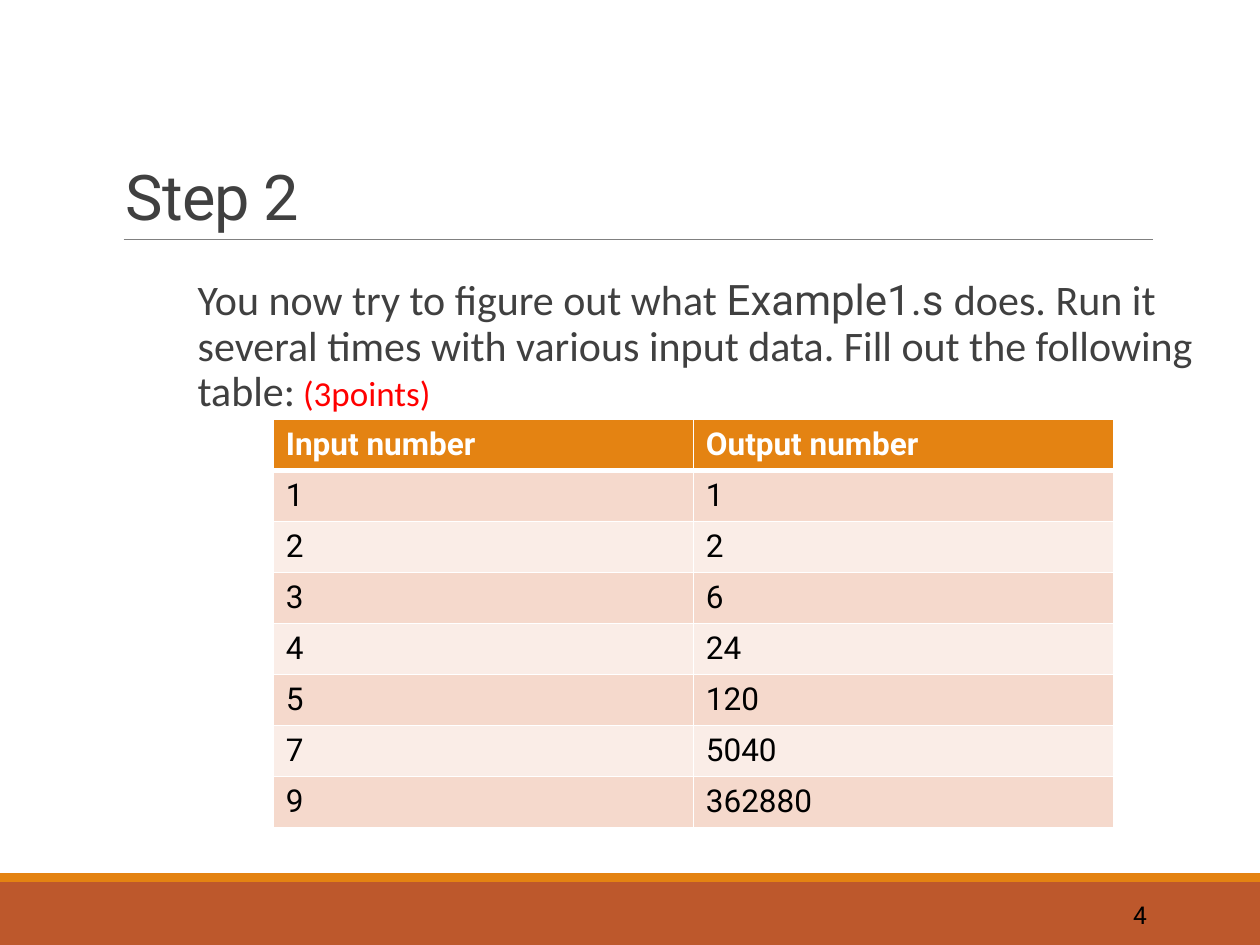
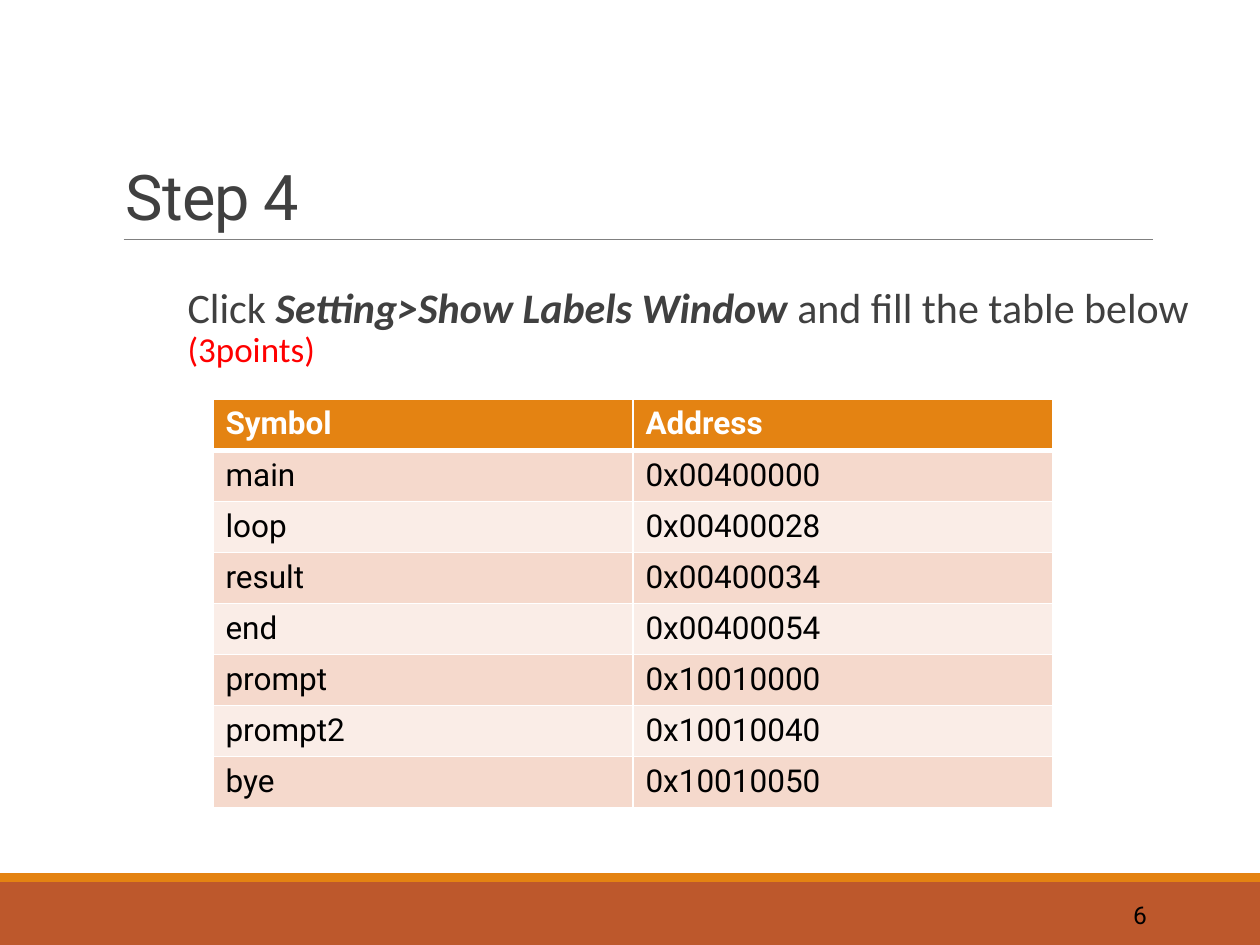
from dataclasses import dataclass
from typing import Any

from lxml import etree
from pptx import Presentation
from pptx.dml.color import RGBColor
from pptx.enum.shapes import MSO_CONNECTOR, MSO_SHAPE
from pptx.enum.text import MSO_ANCHOR, PP_ALIGN
from pptx.oxml.ns import qn
from pptx.util import Pt

RECTANGLE = MSO_SHAPE.RECTANGLE
STRAIGHT = MSO_CONNECTOR.STRAIGHT
TOP, MIDDLE, BOTTOM = MSO_ANCHOR.TOP, MSO_ANCHOR.MIDDLE, MSO_ANCHOR.BOTTOM
RIGHT = PP_ALIGN.RIGHT

# Shared look
ORANGE, RUST, GREY = "E48312", "BD582C", "808080"
DARK, BLACK, WHITE, RED = "404040", "000000", "FFFFFF", "FF0000"
ROW_FILLS = ("F5D9CC", "FAEDE7")
HEADING, BODY = "Roboto", "Calibri"

WIDTH, HEIGHT = 720, 540
COLUMN_WIDTH, ROW_HEIGHT = 240, 29.16
GRID_LINE, HEADER_LINE = 1, 3

TITLE = {"size": Pt(36), "name": HEADING, "color": DARK}
PLAIN = {"size": Pt(24), "name": BODY, "color": DARK}
CODE = PLAIN | {"name": HEADING}
MENU = PLAIN | {"bold": True, "italic": True}
POINTS = PLAIN | {"size": Pt(20), "color": RED}
PAGE_NUMBER = {"size": Pt(14), "name": HEADING, "color": BLACK}
CELL = {"size": Pt(18), "name": HEADING, "color": BLACK, "bold": False}
HEADER_CELL = CELL | {"color": WHITE, "bold": True}


@dataclass
class Band:
    top: float
    height: float
    color: str


@dataclass
class Box:
    left: float
    top: float
    width: float
    height: float

    def lengths(self) -> list[Pt]:
        return [Pt(v) for v in (self.left, self.top, self.width, self.height)]


@dataclass
class Span:
    text: str
    style: dict[str, Any]


@dataclass
class Step:
    title: str
    page: str
    task: list[Span]
    task_at: tuple[float, float]
    table_at: tuple[float, float]
    rows: list[tuple[str, str]]
    cell_anchor: Any


BANDS = [Band(504, 36, RUST), Band(499, 5, ORANGE)]
TITLE_BOX = Box(64.8, 22.3, 594, 114.5)
PAGE_BOX = Box(584.6, 508.3, 77.8, 28.8)

STEPS = [
    Step(
        "Step 2", "4",
        [Span("You now try to figure out what ", PLAIN),
         Span("Example1.s ", CODE),
         Span("does. Run it several times with various input data. "
              "Fill out the following table:", PLAIN),
         Span(" (3points)", POINTS)],
        (90, 156.2), (156.2, 239.8),
        [("Input number", "Output number"), ("1", "1"), ("2", "2"), ("3", "6"),
         ("4", "24"), ("5", "120"), ("7", "5040"), ("9", "362880")],
        TOP,
    ),
    Step(
        "Step 4", "6",
        [Span("Click ", PLAIN),
         Span("Setting>Show Labels Window ", MENU),
         Span("and fill the table below", PLAIN),
         Span(" (3points)", POINTS)],
        (84.2, 160.6), (121.7, 228.2),
        [("Symbol", "Address"), ("main", "0x00400000"), ("loop", "0x00400028"),
         ("result", "0x00400034"), ("end", "0x00400054"),
         ("prompt", "0x10010000"), ("prompt2", "0x10010040"),
         ("bye", "0x10010050")],
        MIDDLE,
    ),
]


def rgb(value: str) -> RGBColor:
    return RGBColor.from_string(value)


def paint(fill, color: str) -> None:
    fill.solid()
    fill.fore_color.rgb = rgb(color)


def add_span(paragraph, span: Span):
    run = paragraph.add_run()
    run.text = span.text
    for key, value in span.style.items():
        if key == "color":
            run.font.color.rgb = rgb(value)
        else:
            setattr(run.font, key, value)
    return run


def add_text(slide, box: Box, spans: list[Span], frame_format: dict[str, Any],
             paragraph_format: dict[str, Any]):
    frame = slide.shapes.add_textbox(*box.lengths()).text_frame
    paragraph = frame.paragraphs[0]
    for target, values in ((frame, {"word_wrap": True} | frame_format),
                           (paragraph, paragraph_format)):
        for key, value in values.items():
            setattr(target, key, value)
    for span in spans:
        add_span(paragraph, span)
    return paragraph


def add_frame(slide) -> None:
    """Footer bands and the rule under the title."""
    for band in BANDS:
        bar = slide.shapes.add_shape(
            RECTANGLE, *Box(0, band.top, WIDTH, band.height).lengths())
        bar.shadow.inherit = False
        paint(bar.fill, band.color)
        bar.line.fill.background()
    rule = slide.shapes.add_connector(
        STRAIGHT, Pt(70.6), Pt(136.8), Pt(658.8), Pt(136.8))
    rule.line.color.rgb = rgb(GREY)
    rule.line.width = Pt(0.5)
    etree.SubElement(rule.element.spPr, qn("a:effectLst"))


def add_borders(cell, widths: dict[str, float]) -> None:
    properties = cell._tc.get_or_add_tcPr()
    for side, width in widths.items():
        line = etree.SubElement(properties, qn(f"a:ln{side}"), w=str(Pt(width)))
        solid = etree.SubElement(line, qn("a:solidFill"))
        etree.SubElement(solid, qn("a:srgbClr"), val=WHITE)


def add_grid(slide, step: Step) -> None:
    columns = len(step.rows[0])
    box = Box(*step.table_at, columns * COLUMN_WIDTH, len(step.rows) * ROW_HEIGHT)
    table = slide.shapes.add_table(
        len(step.rows), columns, *box.lengths()).table
    for column in table.columns:
        column.width = Pt(COLUMN_WIDTH)
    for r, texts in enumerate(step.rows):
        table.rows[r].height = Pt(ROW_HEIGHT)
        header = r == 0
        for c, text in enumerate(texts):
            cell = table.cell(r, c)
            cell.vertical_anchor = TOP if header else step.cell_anchor
            add_borders(cell, {
                "L": GRID_LINE, "R": GRID_LINE,
                "T": HEADER_LINE if r == 1 else GRID_LINE,
                "B": HEADER_LINE if header else GRID_LINE})
            paint(cell.fill, ORANGE if header else ROW_FILLS[(r - 1) % 2])
            add_span(cell.text_frame.paragraphs[0],
                     Span(text, HEADER_CELL if header else CELL))


def add_step(deck, step: Step) -> None:
    slide = deck.slides.add_slide(deck.slide_layouts[6])
    add_frame(slide)

    # Title, with slightly tightened letters
    title = add_text(slide, TITLE_BOX, [Span(step.title, TITLE)],
                     {"vertical_anchor": BOTTOM}, {"line_spacing": 0.85})
    title.runs[0].font._element.set("spc", "-50")

    # Task
    task = add_text(slide, Box(*step.task_at, 612, 347.8), step.task,
                    {"margin_left": 0, "margin_right": 0},
                    {"line_spacing": 0.9, "space_before": Pt(2),
                     "space_after": Pt(4)})
    indent = task._p.get_or_add_pPr()
    indent.set("marL", str(Pt(23)))
    indent.set("indent", "0")

    # Page number and answers
    add_text(slide, PAGE_BOX, [Span(step.page, PAGE_NUMBER)],
             {"vertical_anchor": MIDDLE}, {"alignment": RIGHT})
    add_grid(slide, step)


deck = Presentation()
deck.slide_width, deck.slide_height = Pt(WIDTH), Pt(HEIGHT)
for step in STEPS:
    add_step(deck, step)
deck.save("out.pptx")
